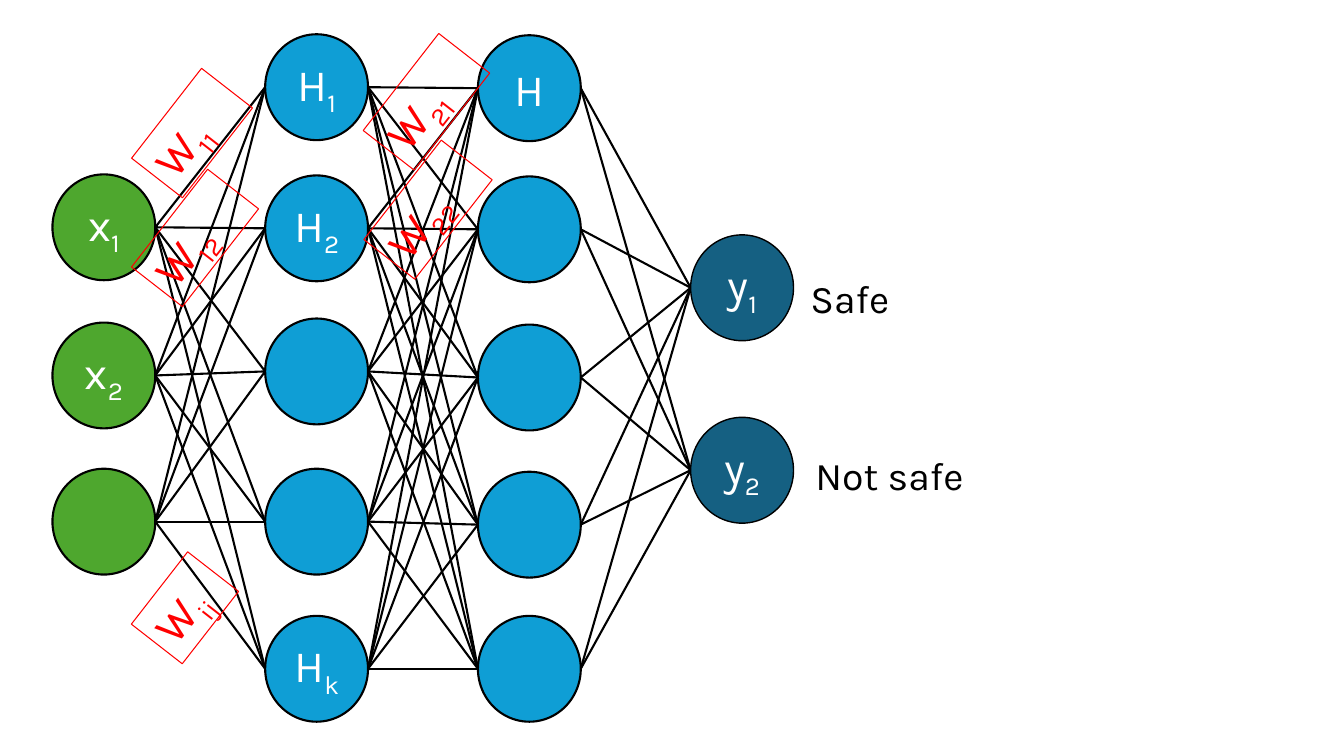
from itertools import pairwise, product

from lxml.etree import SubElement
from pptx import Presentation
from pptx.dml.color import RGBColor
from pptx.enum.shapes import MSO_CONNECTOR, MSO_SHAPE
from pptx.enum.text import MSO_ANCHOR, MSO_AUTO_SIZE, PP_ALIGN
from pptx.oxml.ns import qn
from pptx.util import Inches, Pt

NODE_WIDTH, NODE_HEIGHT = 1.02, 1.05
LABEL_HEIGHT, LABEL_ROTATION = 0.64, 307.9

# left edge, fill, outline width, then (top, symbol, subscript) of each node
LAYERS = [
    (0.52, "4EA72E", 1.5, [(1.73, "x", "1"), (3.2, "x", "2"), (4.65, "", "")]),
    (2.63, "0F9ED5", 1.5, [(0.34, "H", "1"), (1.74, "H", "2"), (3.16, "", ""),
                           (4.65, "", ""), (6.11, "H", "k")]),
    (4.74, "0F9ED5", 1.5, [(0.35, "H", ""), (1.75, "", ""), (3.22, "", ""),
                           (4.68, "", ""), (6.11, "", "")]),
    (6.85, "156082", 1, [(2.33, "y", "1"), (4.14, "y", "2")]),
]
# left, top, width, subscript
WEIGHTS = [
    (1.34, 1, 1.13, "11"),
    (1.32, 2.04, 1.23, "12"),
    (1.38, 5.71, 0.91, "ij"),
    (3.62, 0.69, 1.22, "21"),
    (3.62, 1.76, 1.25, "22"),
]
OUTCOMES = [(7.94, 2.67, "Safe"), (7.99, 4.43, "Not safe")]


def rgb(value):
    return RGBColor.from_string(value)


class NetworkSlide:
    font_name = "Karla"
    line_color = "000000"
    symbol_size = 32
    outcome_size = 28

    def __init__(self, slide):
        self.shapes = slide.shapes

    def add_text(self, paragraph, text, size, color, subscript=""):
        """Add the text and, lowered behind it, the subscript."""
        for part in filter(None, (text, subscript)):
            run = paragraph.add_run()
            run.text = part
            for name, value in {"name": self.font_name, "size": Pt(size)}.items():
                setattr(run.font, name, value)
            run.font.color.rgb = rgb(color)
        if subscript:
            run.font._element.set("baseline", "-25000")

    def outline(self, line, color, width):
        line.color.rgb = rgb(color)
        line.width = Pt(width)

    def node(self, left, top, fill, width, symbol, subscript):
        circle = self.shapes.add_shape(
            MSO_SHAPE.FLOWCHART_CONNECTOR, Inches(left), Inches(top),
            Inches(NODE_WIDTH), Inches(NODE_HEIGHT))
        circle.shadow.inherit = False
        circle.fill.solid()
        circle.fill.fore_color.rgb = rgb(fill)
        self.outline(circle.line, self.line_color, width)
        circle.text_frame.vertical_anchor = MSO_ANCHOR.MIDDLE
        paragraph = circle.text_frame.paragraphs[0]
        paragraph.alignment = PP_ALIGN.CENTER
        self.add_text(paragraph, symbol, self.symbol_size, "FFFFFF", subscript)

    def edge(self, start_x, start_y, end_x, end_y):
        edge = self.shapes.add_connector(
            MSO_CONNECTOR.STRAIGHT, Inches(start_x), Inches(start_y),
            Inches(end_x), Inches(end_y))
        self.outline(edge.line, self.line_color, 1.5)
        SubElement(edge._element.spPr, qn("a:effectLst"))

    def weight(self, left, top, width, subscript):
        label = self.shapes.add_shape(
            MSO_SHAPE.RECTANGLE, Inches(left), Inches(top),
            Inches(width), Inches(LABEL_HEIGHT))
        label.shadow.inherit = False
        label.rotation = LABEL_ROTATION
        label.fill.background()
        self.outline(label.line, "FF0000", 0.75)
        frame_format = {"word_wrap": False, "vertical_anchor": MSO_ANCHOR.TOP,
                        "auto_size": MSO_AUTO_SIZE.SHAPE_TO_FIT_TEXT}
        for name, value in frame_format.items():
            setattr(label.text_frame, name, value)
        paragraph = label.text_frame.paragraphs[0]
        paragraph.alignment = PP_ALIGN.LEFT
        self.add_text(paragraph, "W", self.symbol_size, "FF0000", subscript)

    def outcome(self, left, top, text):
        caption = self.shapes.add_textbox(
            Inches(left), Inches(top), Inches(1.73), Inches(0.57))
        caption.text_frame.word_wrap = True
        caption.text_frame.auto_size = MSO_AUTO_SIZE.SHAPE_TO_FIT_TEXT
        self.add_text(caption.text_frame.paragraphs[0], text,
                      self.outcome_size, self.line_color)


def main():
    presentation = Presentation()
    presentation.slide_width = Inches(13.33)
    presentation.slide_height = Inches(7.5)
    blank_layout = presentation.slide_layouts[6]
    network = NetworkSlide(presentation.slides.add_slide(blank_layout))

    for source, target in pairwise(LAYERS):
        for source_node, target_node in product(source[3], target[3]):
            network.edge(source[0] + NODE_WIDTH, source_node[0] + NODE_HEIGHT / 2,
                         target[0], target_node[0] + NODE_HEIGHT / 2)
    for left, fill, width, nodes in LAYERS:
        for top, symbol, subscript in nodes:
            network.node(left, top, fill, width, symbol, subscript)
    for weight in WEIGHTS:
        network.weight(*weight)
    for outcome in OUTCOMES:
        network.outcome(*outcome)

    presentation.save("out.pptx")


if __name__ == "__main__":
    main()
